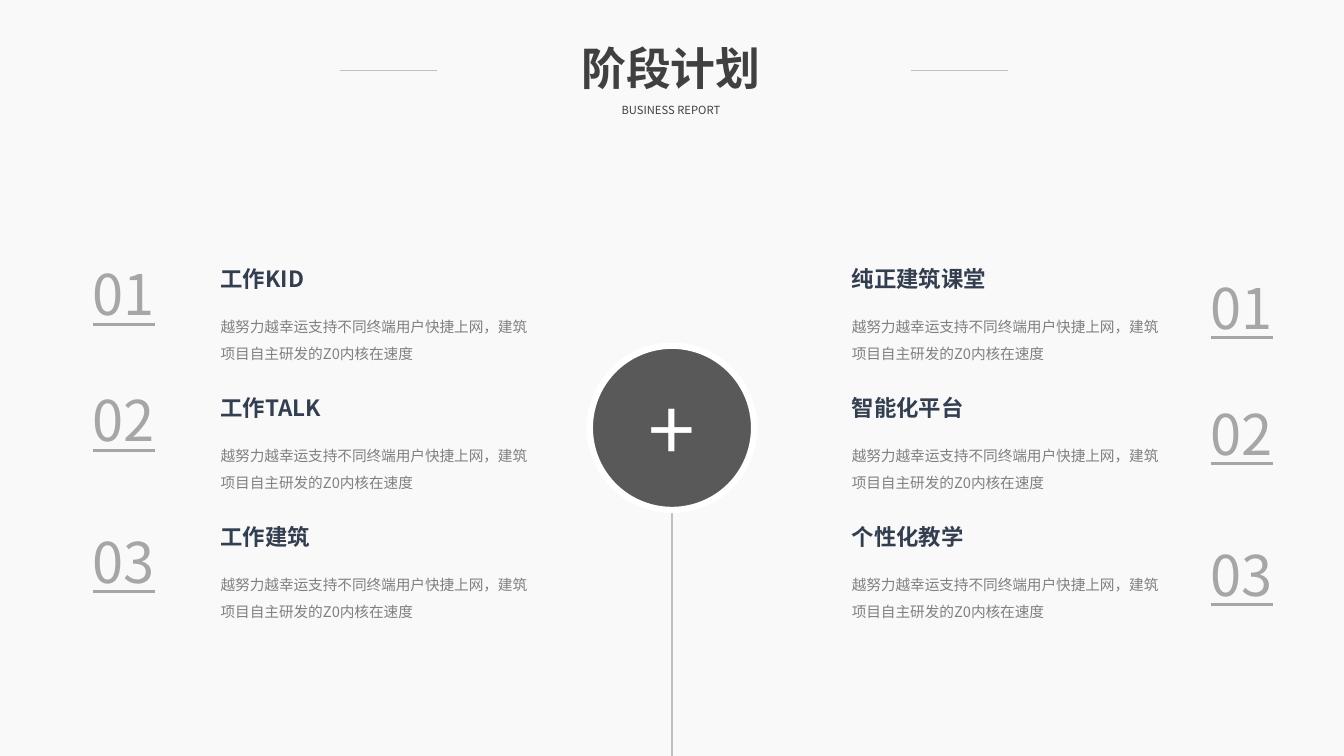
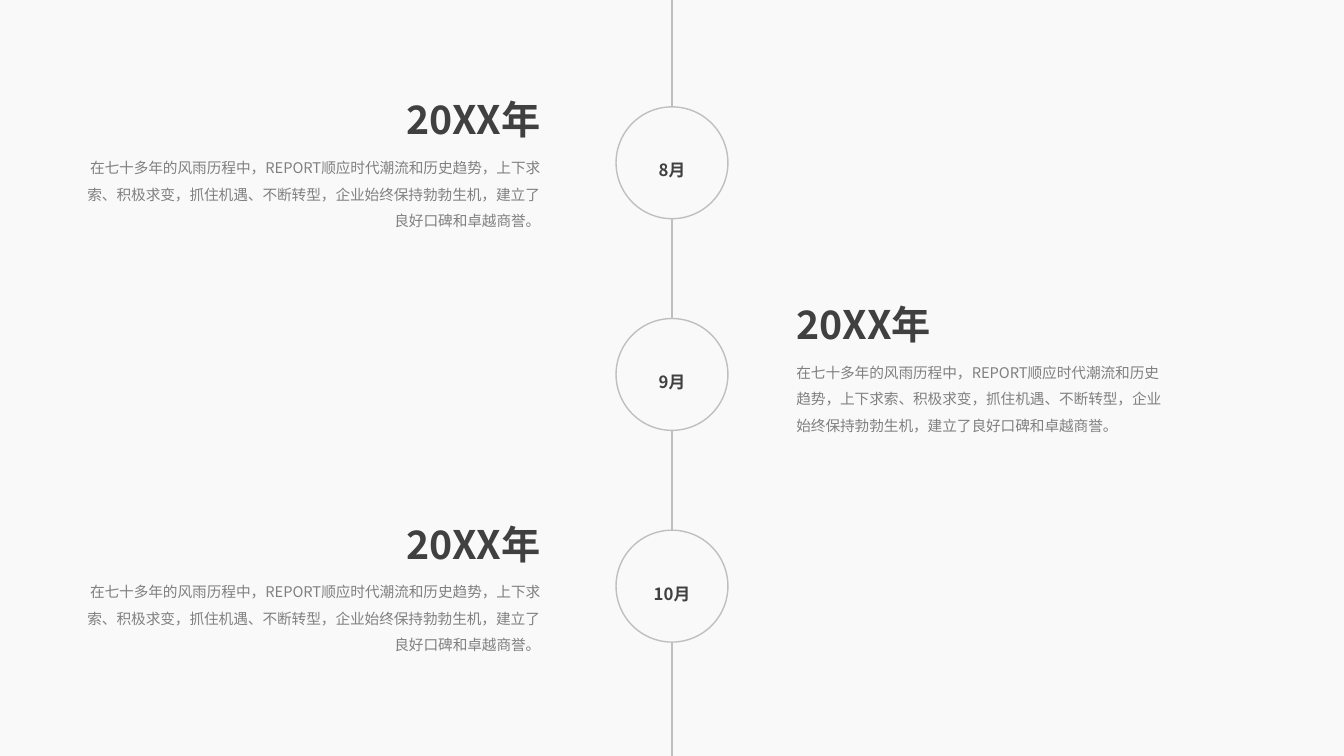
"""Build a stage plan slide and a monthly timeline slide."""
from lxml import etree
from pptx import Presentation
from pptx.dml.color import RGBColor
from pptx.enum.shapes import MSO_CONNECTOR, MSO_SHAPE
from pptx.enum.text import MSO_ANCHOR, MSO_AUTO_SIZE, PP_ALIGN
from pptx.oxml.ns import qn
from pptx.util import Inches, Pt

LEFT, CENTER, RIGHT = PP_ALIGN.LEFT, PP_ALIGN.CENTER, PP_ALIGN.RIGHT
MIDDLE, GROW = MSO_ANCHOR.MIDDLE, MSO_AUTO_SIZE.SHAPE_TO_FIT_TEXT
OVAL, STRAIGHT = MSO_SHAPE.OVAL, MSO_CONNECTOR.STRAIGHT

FONT = "Noto Sans CJK SC"
WIDE, HIGH = 13.33, 7.5
AXIS = WIDE / 2
COLORS = {
    "back": "FAF9F9", "line": "BFBFBF", "dark": "404040", "body": "808080",
    "navy": "333F50", "number": "A6A6A6", "disc": "595959", "white": "FFFFFF",
}
STYLES = {
    "title": ("dark", {"size": Pt(32), "bold": True}),
    "sub": ("dark", {"size": Pt(8)}),
    "number": ("number", {"size": Pt(40), "underline": True}),
    "head": ("navy", {"size": Pt(16), "bold": True}),
    "body": ("body", {"size": Pt(10.5)}),
    "year": ("dark", {"size": Pt(28), "bold": True}),
    "month": ("dark", {"size": Pt(12), "bold": True}),
    "plus": ("white", {"size": Pt(60)}),
}
SPACED = ("body", "month")

TITLE, SUB = "阶段计划", "BUSINESS REPORT"
DETAIL = "越努力越幸运支持不同终端用户快捷上网，建筑项目自主研发的Z0内核在速度"
PLANS = [
    {"text": 2.09, "number": 0.82, "drop": 0,
     "heads": ["工作KID", "工作TALK", "工作建筑"]},
    {"text": 8.35, "number": 11.91, "drop": 0.13,
     "heads": ["纯正建筑课堂", "智能化平台", "个性化教学"]},
]
NUMBER_TOPS = [2.53, 3.78, 5.18]

YEAR = "20XX年"
STORY = ("在七十多年的风雨历程中，REPORT顺应时代潮流和历史趋势，上下求索、积极求变，"
         "抓住机遇、不断转型，企业始终保持勃勃生机，建立了良好口碑和卓越商誉。")
SIDES = {"left": (0.76, 4.7, RIGHT), "right": (7.8, 3.92, LEFT)}
EVENTS = [("8月", "left", 0.9), ("9月", "right", 2.93), ("10月", "left", 5.11)]


def color(name):
    return RGBColor.from_string(COLORS[name])


def write(frame, text, style, align):
    para = frame.paragraphs[0]
    para.alignment = align
    if style in SPACED:
        para.line_spacing = 1.5
    run = para.add_run()
    run.text = text
    tint, formats = STYLES[style]
    run.font.color.rgb = color(tint)
    run.font.name = FONT
    for key, value in formats.items():
        setattr(run.font, key, value)
    etree.SubElement(run.font._element, qn("a:ea"), typeface=FONT)


def add_text(slide, box, text, style, align=LEFT):
    frame = slide.shapes.add_textbox(*map(Inches, box)).text_frame
    frame.word_wrap = True
    frame.auto_size = GROW
    write(frame, text, style, align)


def add_line(slide, ends, weight):
    line = slide.shapes.add_connector(STRAIGHT, *map(Inches, ends))
    line.line.color.rgb = color("line")
    line.line.width = Pt(weight)
    etree.SubElement(line._element.spPr, qn("a:effectLst"))


def add_disc(slide, top, size, fill, edge, weight):
    disc = slide.shapes.add_shape(
        OVAL, *map(Inches, (AXIS - size / 2, top, size, size)))
    disc.shadow.inherit = False
    disc.fill.solid()
    disc.fill.fore_color.rgb = color(fill)
    disc.line.color.rgb = color(edge)
    disc.line.width = Pt(weight)
    return disc


def add_slide(deck):
    slide = deck.slides.add_slide(deck.slide_layouts[6])
    slide.background.fill.solid()
    slide.background.fill.fore_color.rgb = color("back")
    return slide


def build_plan(deck):
    slide = add_slide(deck)
    add_line(slide, (AXIS, HIGH, AXIS, 4.56), 1)
    for plan in PLANS:
        for row, head in enumerate(plan["heads"]):
            top = 2.58 + row * 1.28
            add_text(slide, (plan["number"], NUMBER_TOPS[row] + plan["drop"],
                             1.18, 0.77), f"{row + 1:02}", "number")
            add_text(slide, (plan["text"], top, 2.07, 0.37), head, "head")
            add_text(slide, (plan["text"], top + 0.44, 3.35, 0.63),
                     DETAIL, "body")
    disc = add_disc(slide, 3.43, 1.63, "disc", "white", 4.5)
    disc.text_frame.vertical_anchor = MIDDLE
    write(disc.text_frame, "+", "plus", CENTER)
    add_text(slide, (5.86, 0.98, 1.59, 0.24), SUB, "sub", CENTER)
    add_text(slide, (4.6, 0.35, 4.11, 0.64), TITLE, "title", CENTER)
    for left in (3.37, 9.04):
        add_line(slide, (left, 0.7, left + 0.96, 0.7), 0.75)


def build_timeline(deck):
    slide = add_slide(deck)
    add_line(slide, (AXIS, HIGH, AXIS, 0), 1)
    for row, (month, side, top) in enumerate(EVENTS):
        ring = 1.06 + row * 2.1
        add_disc(slide, ring, 1.11, "back", "line", 1)
        add_text(slide, (6.31, ring + 0.38, 0.71, 0.37), month, "month", CENTER)
        left, width, align = SIDES[side]
        add_text(slide, (left, top, width, 0.57), YEAR, "year", align)
        add_text(slide, (left, top + 0.54, width, 0.9), STORY, "body", align)


def main():
    deck = Presentation()
    deck.slide_width, deck.slide_height = Inches(WIDE), Inches(HIGH)
    build_plan(deck)
    build_timeline(deck)
    deck.save("out.pptx")


if __name__ == "__main__":
    main()
